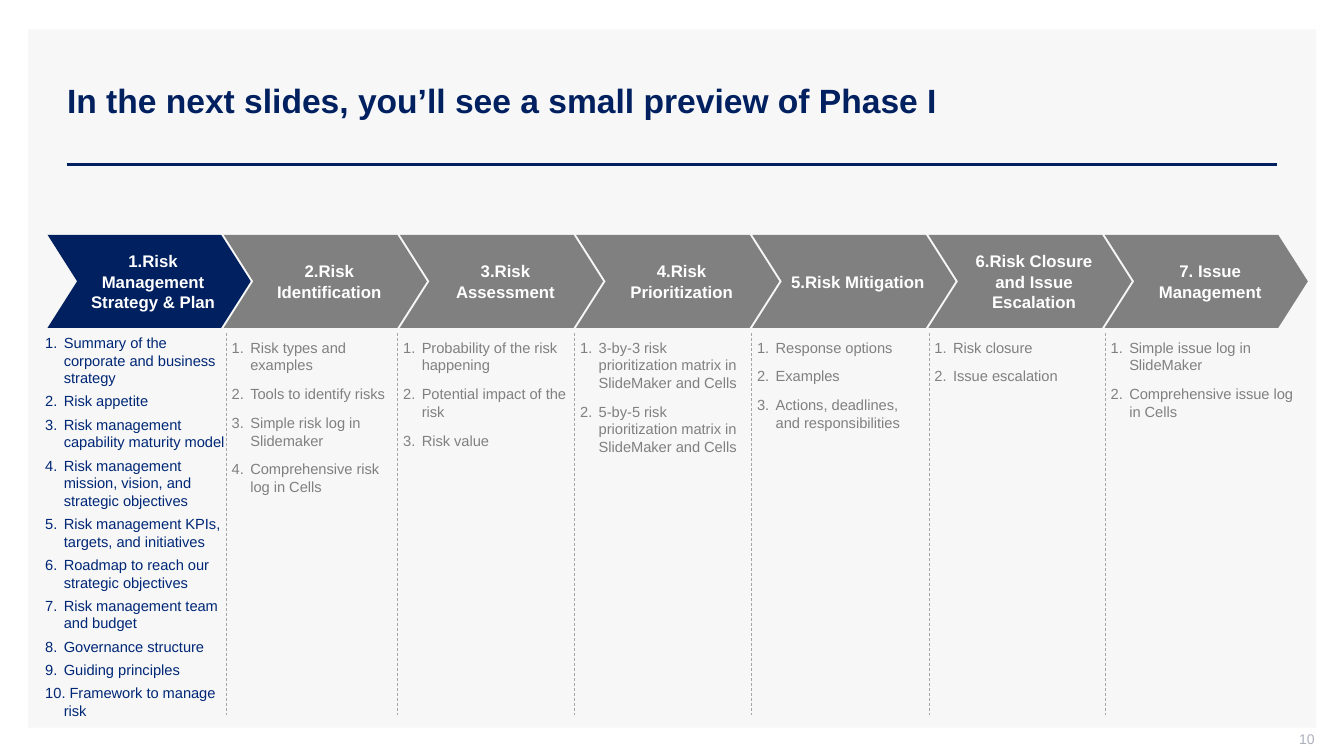
"""Build the risk management phase preview slide."""
from lxml.etree import SubElement
from pptx import Presentation
from pptx.dml.color import RGBColor
from pptx.enum.dml import MSO_LINE
from pptx.enum.shapes import MSO_CONNECTOR, MSO_SHAPE
from pptx.enum.text import MSO_ANCHOR, PP_ALIGN
from pptx.oxml.ns import qn
from pptx.util import Cm, Pt

NAVY, GRAY, WHITE = "002060", "808080", "FFFFFF"
CHEVRON_PITCH, CHEVRON_WIDTH, CHEVRON_HEIGHT = 4.44, 5.12, 2.34
LIST_INDENT = 0.47

PHASES = [
    ("1.Risk Management Strategy & Plan", 1.0, 4.83, [
        "Summary of the corporate and business strategy",
        "Risk appetite",
        "Risk management capability maturity model",
        "Risk management mission, vision, and strategic objectives",
        "Risk management KPIs, targets, and initiatives",
        "Roadmap to reach our strategic objectives",
        "Risk management team and budget",
        "Governance structure",
        "Guiding principles",
        " Framework to manage risk"]),
    ("2.Risk Identification", 5.7, 4.32, [
        "Risk types and examples",
        "Tools to identify risks",
        "Simple risk log in Slidemaker",
        "Comprehensive risk log in Cells"]),
    ("3.Risk Assessment", 10.02, 4.34, [
        "Probability of the risk happening",
        "Potential impact of the risk",
        "Risk value"]),
    ("4.Risk Prioritization", 14.48, 4.47, [
        "3-by-3 risk prioritization matrix in SlideMaker and Cells",
        "5-by-5 risk prioritization matrix in SlideMaker and Cells"]),
    ("5.Risk Mitigation", 18.94, 4.27, [
        "Response options",
        "Examples",
        "Actions, deadlines, and responsibilities"]),
    ("6.Risk Closure and Issue Escalation", 23.41, 4.88, [
        "Risk closure",
        "Issue escalation"]),
    ("7. Issue Management", 27.85, 4.88, [
        "Simple issue log in SlideMaker",
        "Comprehensive issue log in Cells"]),
]


def color(hex_value):
    """Turn a hex string into a colour."""
    return RGBColor.from_string(hex_value)


def apply(target, values):
    """Set each named attribute on the target."""
    for name, value in values.items():
        setattr(target, name, value)


def format_frame(frame, insets, anchor=MSO_ANCHOR.MIDDLE):
    """Set wrapping, anchor and insets (left, top, right, bottom) in centimetres."""
    sides = ("margin_left", "margin_top", "margin_right", "margin_bottom")
    apply(frame, {"word_wrap": True, "vertical_anchor": anchor})
    apply(frame, {side: Cm(inset) for side, inset in zip(sides, insets)})


def write(paragraph, text, size, hex_value, bold=False, **layout):
    """Add one formatted run to a paragraph."""
    apply(paragraph, layout)
    run = paragraph.add_run()
    run.text = text
    apply(run.font, {"name": "Arial", "size": Pt(size), "bold": bold})
    run.font.color.rgb = color(hex_value)


def add_block(slide, preset, box, fill):
    """Add a flat filled shape without outline."""
    shape = slide.shapes.add_shape(preset, *map(Cm, box))
    shape.shadow.inherit = False
    shape.fill.solid()
    shape.fill.fore_color.rgb = color(fill)
    shape.line.fill.background()
    return shape


def add_rule(slide, start, end, hex_value, width, dash=None):
    """Draw a straight line between two points."""
    rule = slide.shapes.add_connector(MSO_CONNECTOR.STRAIGHT, *map(Cm, start + end))
    rule.line.color.rgb = color(hex_value)
    apply(rule.line, {"width": Pt(width), "dash_style": dash})
    SubElement(rule._element.spPr, qn("a:effectLst"))


def add_label(slide, box, text, insets, **style):
    """Add a one-paragraph text box."""
    frame = slide.shapes.add_textbox(*map(Cm, box)).text_frame
    format_frame(frame, insets)
    write(frame.paragraphs[0], text, **style)


def add_frame(slide, left, top, width, height):
    """Add the panel with its title, title rule and page number."""
    add_block(slide, MSO_SHAPE.RECTANGLE, (left, top, width, height), "F7F7F7")
    add_rule(slide, (left + 0.97, top + 3.4), (left + width - 0.99, top + 3.4), NAVY, 2)
    add_label(slide, (left + 0.73, top + 0.28, 30.76, 3.02),
              "In the next slides, you’ll see a small preview of Phase I",
              (0.25, 0.13, 0.25, 0.13), size=24, hex_value=NAVY, bold=True)
    add_label(slide, (left + width - 7.66, top + height + 0.07, 7.62, 0.53), "10",
              (0.25, 0, 0, 0.13), size=10, hex_value="ADAFBB", alignment=PP_ALIGN.RIGHT)


def add_chevron(slide, left, top, text, fill):
    """Add the heading arrow of one phase."""
    box = (left, top, CHEVRON_WIDTH, CHEVRON_HEIGHT)
    chevron = add_block(slide, MSO_SHAPE.CHEVRON, box, fill)
    chevron.adjustments[0] = 0.318
    format_frame(chevron.text_frame, (0.2, 0.13, 0, 0.13))
    write(chevron.text_frame.paragraphs[0], text, 12, WHITE, True,
          alignment=PP_ALIGN.CENTER)


def add_numbered_list(slide, box, items, hex_value, gap):
    """Add the numbered topics of one phase."""
    frame = slide.shapes.add_textbox(*map(Cm, box)).text_frame
    format_frame(frame, (0, 0.13, 0.2, 0.13), MSO_ANCHOR.TOP)
    for index, item in enumerate(items):
        paragraph = frame.add_paragraph() if index else frame.paragraphs[0]
        apply(paragraph, {"space_before": Pt(gap if index else 0), "space_after": Pt(gap)})
        properties = paragraph._p.get_or_add_pPr()
        properties.set("marL", str(Cm(LIST_INDENT)))
        properties.set("indent", str(-Cm(LIST_INDENT)))
        SubElement(properties, qn("a:buFont")).set("typeface", "+mj-lt")
        SubElement(properties, qn("a:buAutoNum")).set("type", "arabicPeriod")
        write(paragraph, item, 10.5, hex_value)


def add_phases(slide, left, top, height):
    """Add the row of arrows with a column of topics under each one."""
    list_top = top + CHEVRON_HEIGHT + 0.14
    for index, (heading, column_left, width, items) in enumerate(PHASES):
        active = index == 0
        add_chevron(slide, left + index * CHEVRON_PITCH, top, heading,
                    NAVY if active else GRAY)
        text_top = list_top - 0.12 if active else list_top
        add_numbered_list(slide, (column_left + 0.14, text_top, width, top + height - list_top),
                          items, "002776" if active else GRAY, 2 if active else 4)
        if not active:
            add_rule(slide, (column_left, list_top), (column_left, top + height),
                     "A6A6A6", 0.5, MSO_LINE.DASH)


def main():
    """Create and save the presentation."""
    presentation = Presentation()
    apply(presentation, {"slide_width": Cm(33.87), "slide_height": Cm(19.05)})
    slide = presentation.slides.add_slide(presentation.slide_layouts[6])
    add_frame(slide, 0.71, 0.74, 32.46, 17.6)
    add_phases(slide, 1.2, 5.92, 12.09)
    presentation.save("out.pptx")


if __name__ == "__main__":
    main()
